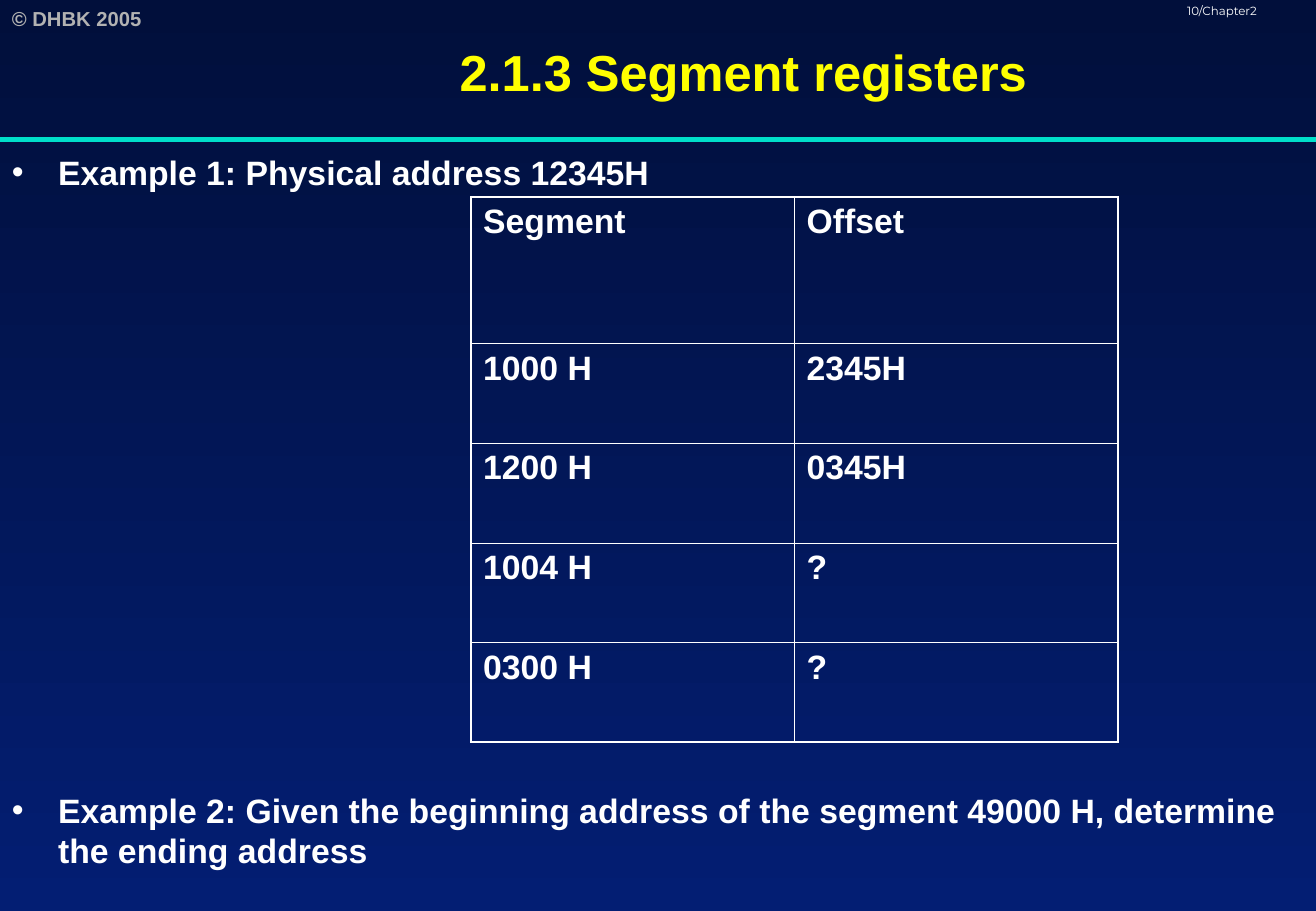
from lxml import etree
from pptx import Presentation
from pptx.dml.color import RGBColor
from pptx.enum.shapes import MSO_CONNECTOR
from pptx.enum.text import MSO_ANCHOR, PP_ALIGN
from pptx.oxml.ns import qn
from pptx.util import Inches, Pt

LINE = MSO_CONNECTOR.STRAIGHT
MID, TOP = MSO_ANCHOR.MIDDLE, MSO_ANCHOR.TOP
LEFT, MIDDLE = PP_ALIGN.LEFT, PP_ALIGN.CENTER

HUES = {"night": "010F3B", "navy": "031E73", "rule": "00DFCA",
        "gray": "B2B2B2", "white": "FFFFFF", "yellow": "FFFF00"}
FORMS = {
    "mark": {"name": "Arial", "size": Pt(12), "bold": True, "hue": "gray"},
    "page": {"name": "Montserrat", "size": Pt(7), "bold": False, "hue": "white"},
    "title": {"name": "Arial", "size": Pt(30), "bold": True, "hue": "yellow"},
    "body": {"name": "Arial", "size": Pt(20), "bold": True, "hue": "white"},
}
ROWS = [("Segment", "Offset"), ("1000 H", "2345H"), ("1200 H", "0345H"),
        ("1004 H", "?"), ("0300 H", "?")]
NOTES = ["Example 1: Physical address 12345H",
         "Example 2: Given the beginning address of the segment 49000 H, "
         "determine the ending address"]


def tint(key):
    """Return the named colour."""
    return RGBColor.from_string(HUES[key])


def style(para, form):
    """Apply a named text format to a paragraph."""
    for key, value in FORMS[form].items():
        if key == "hue":
            para.font.color.rgb = tint(value)
        else:
            setattr(para.font, key, value)


def write(slide, box, text, form, align=LEFT, anchor=TOP, pitch=1.0):
    """Place one line of text in a box."""
    frame = slide.shapes.add_textbox(*map(Inches, box)).text_frame
    frame.word_wrap = True
    frame.vertical_anchor = anchor
    para = frame.paragraphs[0]
    para.text, para.alignment, para.line_spacing = text, align, pitch
    style(para, form)


def paint(slide):
    """Fill the background from dark to lighter blue."""
    fill = slide.background.fill
    fill.gradient()
    fill.gradient_angle = 270
    for stop, key, spot in zip(fill.gradient_stops, ("night", "navy"), (0, 1)):
        stop.color.rgb, stop.position = tint(key), spot


def header(slide, box):
    """Draw the copyright line, page mark, title and rule."""
    left, top, width, height = box
    write(slide, (left, top, 1.57, 0.3), "© DHBK 2005", "mark")
    write(slide, (left + 9.68, top, 1.16, 0.25), "10/Chapter2", "page", pitch=0.8)
    write(slide, (left + 1.41, top, width - 1.41, height + 0.02),
          "2.1.3 Segment registers", "title", MIDDLE, MID)
    ends = map(Inches, (left, top + height, left + width, top + height))
    rule = slide.shapes.add_connector(LINE, *ends)
    rule.line.color.rgb, rule.line.width = tint("rule"), Pt(3)
    etree.SubElement(rule._element.spPr, qn("a:effectLst"))


def body(slide, box):
    """Write the two bulleted examples, leaving room for the table."""
    frame = slide.shapes.add_textbox(*map(Inches, box)).text_frame
    frame.word_wrap, frame.margin_top = True, Inches(0.08)
    for i, text in enumerate(NOTES):
        para = frame.add_paragraph() if i else frame.paragraphs[0]
        para.text = text
        if i:
            para.space_before = Pt(354)
        props = para._p.get_or_add_pPr()
        props.set("marL", str(Inches(0.38)))
        props.set("indent", str(Inches(-0.38)))
        hue = etree.SubElement(props, qn("a:buClr"))
        etree.SubElement(hue, qn("a:srgbClr"), val=HUES["white"])
        etree.SubElement(props, qn("a:buFont"), typeface="Arial")
        etree.SubElement(props, qn("a:buChar"), char="•")
        style(para, "body")


def edge(cell, outer):
    """Draw white cell borders, thicker on the outer sides."""
    props = cell._tc.get_or_add_tcPr()
    for i, side in enumerate("LRTB"):
        width = Pt(1.08 if side in outer else 0.45)
        line = etree.Element(qn("a:ln" + side), w=str(width))
        fill = etree.SubElement(line, qn("a:solidFill"))
        etree.SubElement(fill, qn("a:srgbClr"), val=HUES["white"])
        props.insert(i, line)


def grid(slide, box):
    """Build the table of segments and offsets."""
    count, wide = len(ROWS), len(ROWS[0])
    table = slide.shapes.add_table(count, wide, *map(Inches, box)).table
    table.first_row = table.horz_banding = False
    head = 1.21
    for column in table.columns:
        column.width = Inches(box[2] / wide)
    for i, row in enumerate(table.rows):
        row.height = Inches((box[3] - head) / (count - 1) if i else head)
        for j, text in enumerate(ROWS[i]):
            cell = table.cell(i, j)
            cell.text = text
            cell.fill.background()
            style(cell.text_frame.paragraphs[0], "body")
            sides = {"L": j == 0, "R": j == wide - 1,
                     "T": i == 0, "B": i == count - 1}
            edge(cell, [side for side, on in sides.items() if on])


def main():
    """Build the slide and save it."""
    deck = Presentation()
    deck.slide_width, deck.slide_height = Inches(10.84), Inches(7.5)
    slide = deck.slides.add_slide(deck.slide_layouts[6])
    paint(slide)
    header(slide, (0, 0, 10.84, 1.15))
    body(slide, (0, 1.17, 10.84, 6.33))
    grid(slide, (3.88, 1.62, 5.33, 4.49))
    deck.save("out.pptx")


if __name__ == "__main__":
    main()
